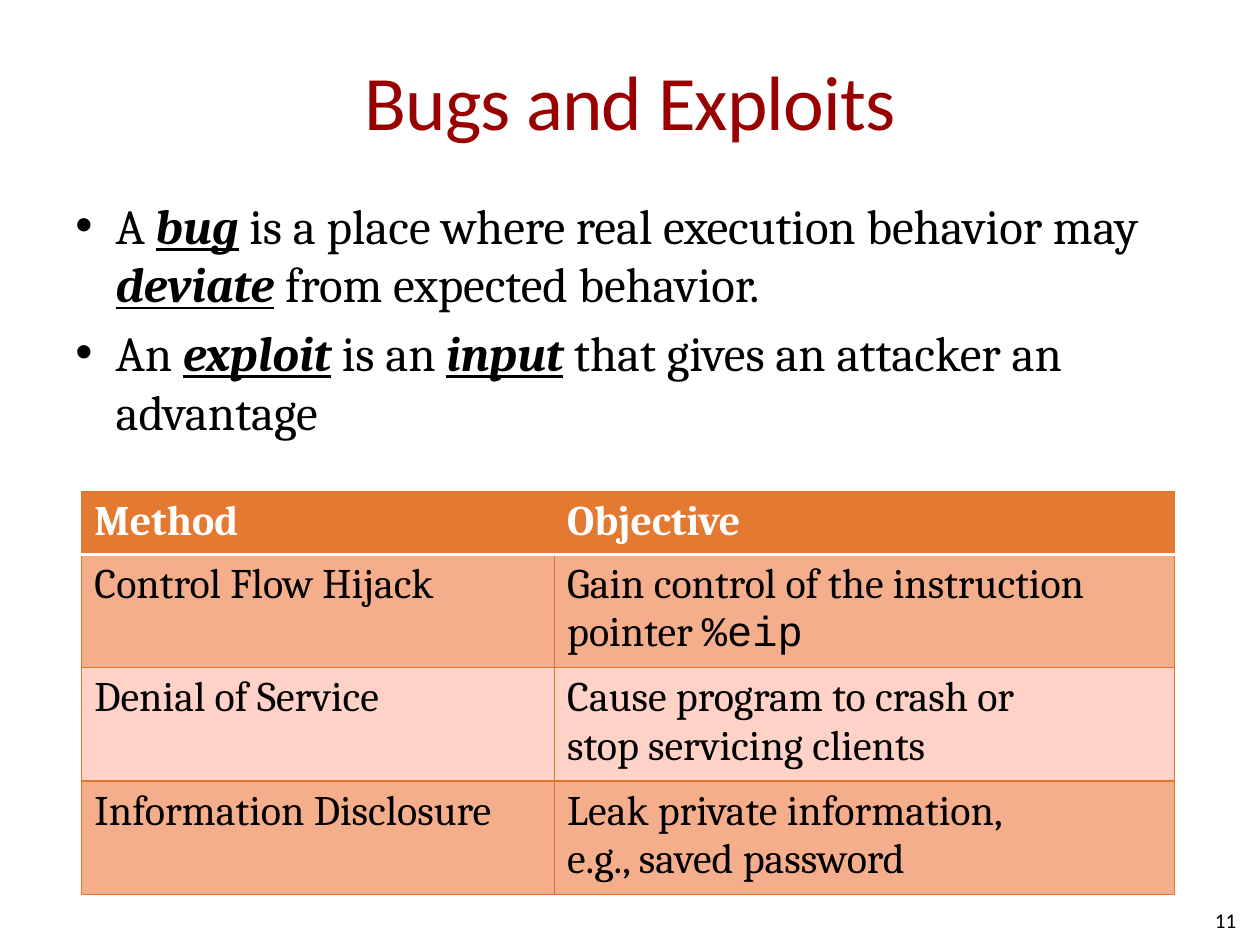
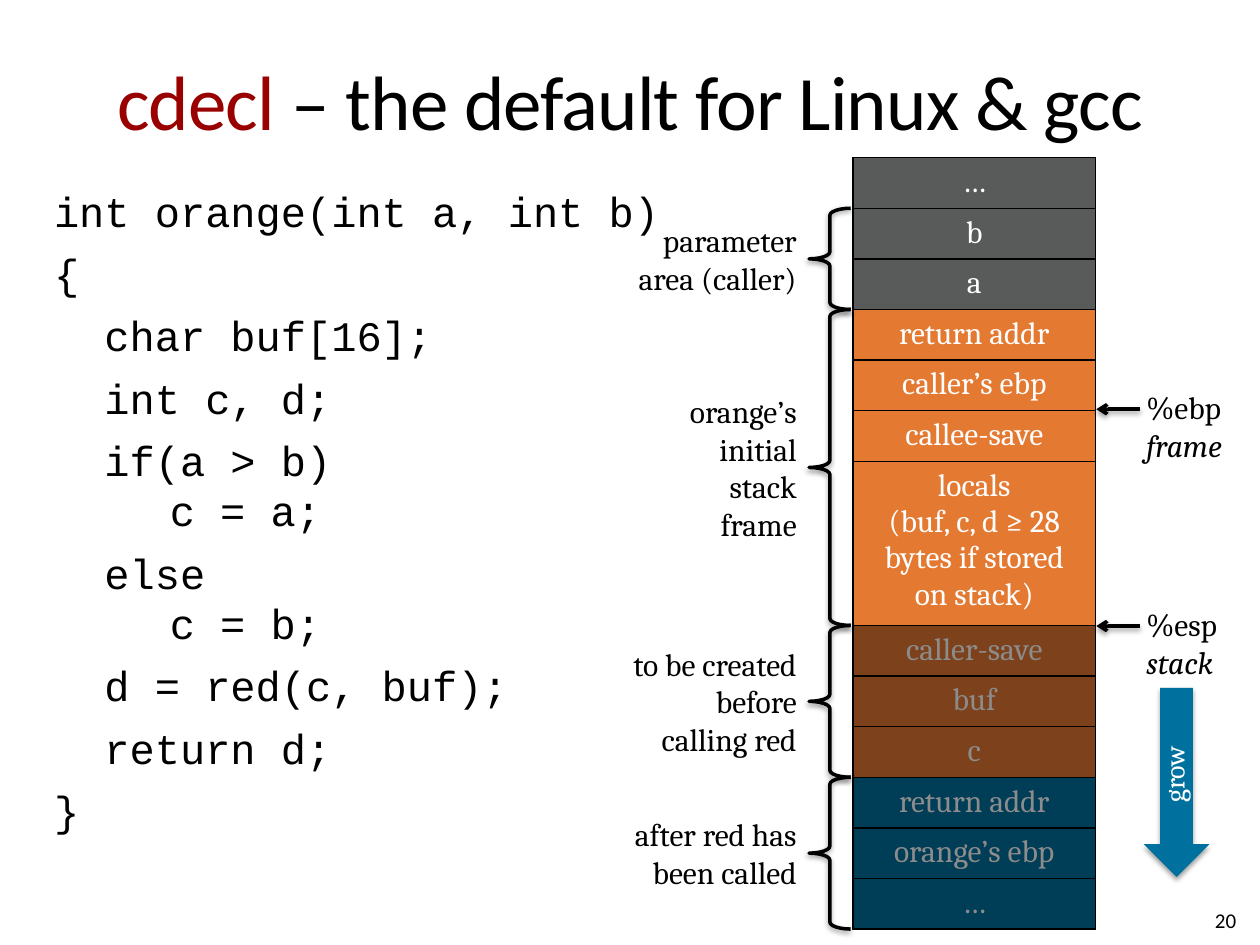
from dataclasses import dataclass, replace
from typing import NamedTuple

import lxml.etree
import pptx
import pptx.dml.color
import pptx.enum.shapes
import pptx.enum.text
import pptx.oxml.ns
import pptx.util

Cm = pptx.util.Cm
Pt = pptx.util.Pt
RGBColor = pptx.dml.color.RGBColor
Align = pptx.enum.text.PP_ALIGN
Anchor = pptx.enum.text.MSO_ANCHOR
Kind = pptx.enum.shapes.MSO_SHAPE
qn = pptx.oxml.ns.qn

BLACK = RGBColor(0x00, 0x00, 0x00)
WHITE = RGBColor(0xFF, 0xFF, 0xFF)
RED = RGBColor(0x99, 0x00, 0x00)
ORANGE = RGBColor(0xE4, 0x79, 0x32)
EDGE = RGBColor(0xE3, 0x75, 0x2D)
PEACH = RGBColor(0xF4, 0xAE, 0x8C)
PINK = RGBColor(0xFF, 0xD2, 0xC8)
GRAY = RGBColor(0x59, 0x5A, 0x5A)
BLUE = RGBColor(0x00, 0x70, 0x9E)

SERIF, SANS, MONO = "Cambria", "Calibri", "Courier New"


@dataclass(frozen=True)
class Look:
    size: float
    font: str = SERIF
    color: RGBColor = BLACK
    align: Align = Align.LEFT
    bold: bool = False
    slant: bool = False
    track: int = 0  # hundredths of a point
    hang: float = 0  # hanging indent, cm
    gap: float = 0  # points before each later paragraph
    bullet: str = ""


class Bit(NamedTuple):
    text: str
    strong: bool = False
    font: str | None = None
    color: RGBColor | None = None


class Box(NamedTuple):
    left: float
    top: float
    width: float
    height: float


class Row(NamedTuple):
    text: str
    fill: RGBColor
    height: float = 1.02


class Span(NamedTuple):
    label: str
    first: int
    last: int


class Mark(NamedTuple):
    name: str
    role: str
    top: float


TITLE = Look(44, SANS, RED, Align.CENTER, track=-50)
PAGE = Look(12, SANS, align=Align.RIGHT)
POINT = Look(28, hang=0.81, gap=5.6, bullet="•")
CODE = Look(24, MONO, hang=0.81, gap=6.8)
CELL = Look(24)
HEAD = Look(24, color=WHITE, bold=True)
STACK = Look(18, color=WHITE, align=Align.CENTER)
LABEL = Look(18, align=Align.RIGHT)
NOTE = Look(18)
GROW = Look(16, color=WHITE, align=Align.CENTER)

POINTS = [
    [Bit("A "), Bit("bug", True), Bit(" is a place where real execution behavior may "),
     Bit("deviate", True), Bit(" from expected behavior.")],
    [Bit("An "), Bit("exploit", True), Bit(" is an "), Bit("input", True),
     Bit(" that gives an attacker an advantage")],
]

ATTACKS = [
    ("Method", "Objective"),
    ("Control Flow Hijack",
     [Bit("Gain control of the instruction pointer "), Bit("%eip", font=MONO)]),
    ("Denial of Service", "Cause program to crash or\nstop servicing clients"),
    ("Information Disclosure", "Leak private information,\ne.g., saved password"),
]

SOURCE = [
    "int orange(int a, int b)",
    "{",
    "  char buf[16];",
    "  int c, d;",
    "  if(a > b)\n   c = a;",
    "  else\n   c = b;",
    "  d = red(c, buf);",
    "  return d;",
    "}",
]

FRAME = [
    Row("…", GRAY),
    Row("b", GRAY),
    Row("a", GRAY),
    Row("return addr", ORANGE),
    Row("caller’s ebp", ORANGE),
    Row("callee-save", ORANGE),
    Row("locals\n(buf, c, d ≥ 28 bytes if stored on stack)", ORANGE, 3.31),
    Row("caller-save", ORANGE),
    Row("buf", ORANGE),
    Row("c", ORANGE),
    Row("return addr", BLUE),
    Row("orange’s ebp", BLUE),
    Row("…", BLUE),
]
LEFT, TOP, WIDTH = 17.2, 3.18, 4.88
FUTURE = 7  # first row that does not exist yet

SPANS = [
    Span("parameter\narea (caller)", 1, 2),
    Span("orange’s\ninitial\nstack\nframe", 3, 6),
    Span("to be created\nbefore\ncalling red", 7, 9),
    Span("after red has\nbeen called", 10, 12),
]
MARKS = [Mark("%ebp", "frame", 7.7), Mark("%esp", "stack", 12.07)]


def add(parent, tag: str, **attrs):
    return lxml.etree.SubElement(parent, qn(tag), **attrs)


def style(para, look: Look) -> None:
    para.alignment = look.align
    props = para._p.get_or_add_pPr()
    if look.hang:
        props.set("marL", str(Cm(look.hang)))
        props.set("indent", str(-Cm(look.hang)))
    if look.bullet:
        add(props, "a:buFont", typeface="Arial")
        add(props, "a:buChar", char=look.bullet)
    font = para.font
    font.size, font.name = Pt(look.size), look.font
    font.bold, font.italic = look.bold, look.slant
    font.color.rgb = look.color
    if look.track:
        props.find(qn("a:defRPr")).set("spc", str(look.track))


def write(frame, items: list, look: Look) -> None:
    """Fill a text frame, one paragraph for each string or list of bits."""
    for index, item in enumerate(items):
        para = frame.add_paragraph() if index else frame.paragraphs[0]
        style(para, look)
        if index and look.gap:
            para.space_before = Pt(look.gap)
        if isinstance(item, str):
            para.text = item
            continue
        for bit in item:
            run = para.add_run()
            run.text = bit.text
            if bit.strong:
                run.font.bold = run.font.italic = run.font.underline = True
            if bit.font:
                run.font.name = bit.font
            if bit.color is not None:
                run.font.color.rgb = bit.color


def place(slide, box: Box, items: list, look: Look,
          anchor: Anchor = Anchor.TOP, side: float = 0.25):
    frame = slide.shapes.add_textbox(*map(Cm, box)).text_frame
    frame.word_wrap = True
    frame.vertical_anchor = anchor
    frame.margin_left = frame.margin_right = Cm(side)
    write(frame, items, look)
    return frame


def start(deck, title: list, page: str):
    """Add a slide with the shared title and page number."""
    slide = deck.slides.add_slide(deck.slide_layouts[6])
    place(slide, Box(1.27, 0.43, 22.86, 3.18), [title], TITLE, Anchor.MIDDLE, 0)
    place(slide, Box(19.25, 18.03, 5.92, 1.02), [page], PAGE, Anchor.MIDDLE)
    return slide


def paint(fill, color: RGBColor) -> None:
    fill.solid()
    fill.fore_color.rgb = color


def shade(shape) -> None:
    """Give a shape a soft shadow below; call after its line is set."""
    effect = add(shape._element.spPr, "a:effectLst")
    cast = add(effect, "a:outerShdw", blurRad=str(Pt(3.1)), dist=str(Pt(1.6)),
               dir="5400000", rotWithShape="0")
    add(add(cast, "a:srgbClr", val=str(BLACK)), "a:alpha", val="38000")


def edge(cell, color: RGBColor, width: float, sides: str = "LRTB", **other) -> None:
    """Border a cell; other maps a side to its own (color, width)."""
    props = cell._tc.get_or_add_tcPr()
    for side in sides:
        tint, thick = other.get(side, (color, width))
        line = add(props, f"a:ln{side}", w=str(Pt(thick)))
        add(add(line, "a:solidFill"), "a:srgbClr", val=str(tint))


def grid(slide, left: float, top: float, cols: list, rows: list):
    """Add a plain table with the given column widths and row heights."""
    box = Box(left, top, sum(cols), sum(rows))
    table = slide.shapes.add_table(len(rows), len(cols), *map(Cm, box)).table
    table.first_row = table.horz_banding = False
    for col, width in zip(table.columns, cols):
        col.width = Cm(width)
    for row, height in zip(table.rows, rows):
        row.height = Cm(height)
    return table


def bugs(deck) -> None:
    slide = start(deck, [Bit("Bugs and Exploits")], "11")
    place(slide, Box(1.27, 3.81, 22.86, 13.21), POINTS, POINT)
    table = grid(slide, 1.65, 9.9, [9.53, 12.5], [1.23] + [2.22] * 3)
    fills = [ORANGE, PEACH, PINK, PEACH]
    rules = [{"B": (WHITE, 2)}, {"T": (WHITE, 2)}, {}, {}]
    for r, texts in enumerate(ATTACKS):
        for c, text in enumerate(texts):
            cell = table.cell(r, c)
            edge(cell, EDGE, 0.75, **rules[r])
            paint(cell.fill, fills[r])
            write(cell.text_frame, [text], CELL if r else HEAD)


def brace(slide, span: Span, top: float, height: float) -> None:
    shape = slide.shapes.add_shape(
        Kind.LEFT_BRACE, *map(Cm, Box(16.31, top, 0.84, height)))
    shape.adjustments[0] = 0.17
    shape.fill.background()
    shape.line.color.rgb = BLACK
    shape.line.width = Pt(2)
    shade(shape)
    place(slide, Box(11.71, top, 4.6, height), [span.label], LABEL, Anchor.MIDDLE)


def point(slide, mark: Mark) -> None:
    """Draw a register name with its arrow to the stack."""
    frame = place(slide, Box(22.86, mark.top, 2.31, 1.8), [mark.name], NOTE)
    frame.word_wrap = False
    role = frame.add_paragraph()
    style(role, replace(NOTE, slant=True))
    role.text = mark.role
    level = Cm(mark.top + 0.55)
    arrow = slide.shapes.add_connector(
        pptx.enum.shapes.MSO_CONNECTOR.STRAIGHT, Cm(22.99), level, Cm(22.1), level)
    arrow.line.color.rgb = BLACK
    arrow.line.width = Pt(2)
    add(arrow.line._get_or_add_ln(), "a:tailEnd", type="arrow")
    shade(arrow)


def cdecl(deck) -> None:
    slide = start(deck, [Bit("cdecl "),
                         Bit("– the default for Linux & gcc", color=BLACK)], "20")
    place(slide, Box(0.84, 3.61, 22.86, 13.21), SOURCE, CODE)

    sizes = [row.height for row in FRAME]
    tops = [TOP + sum(sizes[:n]) for n in range(len(sizes) + 1)]
    table = grid(slide, LEFT, TOP, [WIDTH], sizes)
    for r, row in enumerate(FRAME):
        cell = table.cell(r, 0)
        edge(cell, BLACK, 1)
        paint(cell.fill, row.fill)
        write(cell.text_frame, row.text.split("\n"), STACK)

    veil = slide.shapes.add_shape(Kind.RECTANGLE, *map(
        Cm, Box(LEFT, tops[FUTURE], WIDTH, tops[-1] - tops[FUTURE])))
    veil.shadow.inherit = False
    veil.line.fill.background()
    paint(veil.fill, BLACK)
    add(veil._element.spPr.find(f".//{qn('a:srgbClr')}"), "a:alpha", val="45000")

    for span in SPANS:
        top = tops[span.first]
        brace(slide, span, top, tops[span.last + 1] - top)
    for mark in MARKS:
        point(slide, mark)

    arrow = slide.shapes.add_shape(Kind.DOWN_ARROW, *map(Cm, Box(23.06, 13.87, 1.32, 3.81)))
    paint(arrow.fill, BLUE)
    arrow.line.fill.background()
    shade(arrow)
    frame = arrow.text_frame
    frame.margin_left = 0
    frame.vertical_anchor = Anchor.MIDDLE
    frame._txBody.bodyPr.set("vert", "vert270")
    write(frame, ["grow"], GROW)


def main() -> None:
    deck = pptx.Presentation()
    deck.slide_width, deck.slide_height = Cm(25.4), Cm(19.05)
    bugs(deck)
    cdecl(deck)
    deck.save("out.pptx")


if __name__ == "__main__":
    main()
